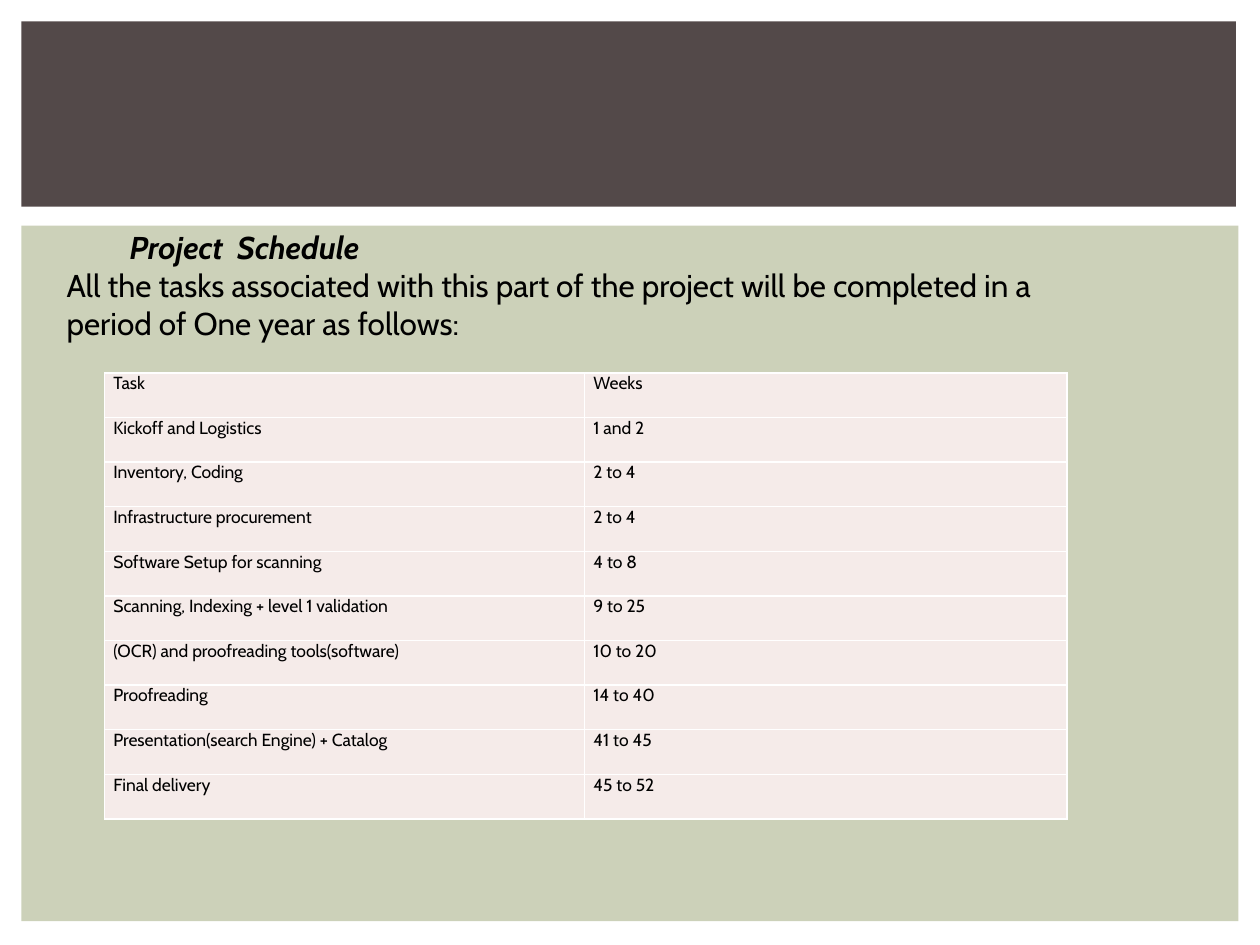
from lxml import etree
from pptx import Presentation
from pptx.dml.color import RGBColor
from pptx.enum.shapes import MSO_SHAPE
from pptx.enum.text import MSO_AUTO_SIZE
from pptx.oxml.ns import qn
from pptx.util import Inches, Pt

RECT = MSO_SHAPE.RECTANGLE
GROW = MSO_AUTO_SIZE.SHAPE_TO_FIT_TEXT

TITLE = "Project  Schedule"
INTRO = ("All the tasks associated with this part of the project will be "
         "completed in a period of One year as follows:")
TASKS = [
    ("Task", "Weeks"),
    ("Kickoff and Logistics", "1 and 2"),
    ("Inventory, Coding", "2 to 4"),
    ("Infrastructure procurement", "2 to 4"),
    ("Software Setup for scanning", "4 to 8"),
    ("Scanning, Indexing + level 1 validation", "9 to 25"),
    ("(OCR) and proofreading tools(software)", "10 to 20"),
    ("Proofreading", "14 to 40"),
    ("Presentation(search Engine) + Catalog", "41 to 45"),
    ("Final delivery", "45 to 52"),
]
THEME = {
    "font": "Cabin", "head": 18, "cell": 10,
    "ink": "000000", "band": "534949", "panel": "CCD1B9",
    "row": "F5EBE9", "rule": "FFFFFF",
}
WIDE, HIGH = 10, 7.5
EDGE = 0.17
PANELS = [
    ("panel", (EDGE, 1.79, WIDE - 2 * EDGE, 5.52)),
    ("band", (EDGE, EDGE, 9.64, 1.47)),
]
TEXT = (0.43, 1.76, 8.58, 1.01)
GRID = (0.83, 2.96, 7.64, 3.54)
COLS = (3.81, 3.83)


def tint(name):
    return RGBColor.from_string(THEME[name])


def place(box):
    return [Inches(n) for n in box]


def style(para, size, bold=False):
    for run in para.runs:
        font = run.font
        font.name, font.size = THEME["font"], Pt(THEME[size])
        font.bold = font.italic = bold
        font.color.rgb = tint("ink")


def border(cell):
    props = cell._tc.get_or_add_tcPr()
    for i, side in enumerate(("lnL", "lnR", "lnT", "lnB")):
        line = etree.Element(qn("a:" + side), w=str(Pt(1)))
        fill = etree.SubElement(line, qn("a:solidFill"))
        etree.SubElement(fill, qn("a:srgbClr"), val=THEME["rule"])
        props.insert(i, line)


def panel(slide, name, box):
    shape = slide.shapes.add_shape(RECT, *place(box))
    shape.shadow.inherit = False
    shape.fill.solid()
    shape.fill.fore_color.rgb = tint(name)
    shape.line.fill.background()


def table(slide):
    grid = slide.shapes.add_table(len(TASKS), len(COLS), *place(GRID)).table
    grid.first_row = grid.horz_banding = False
    for col, width in zip(grid.columns, COLS):
        col.width = Inches(width)
    for row, words in zip(grid.rows, TASKS):
        row.height = Inches(GRID[3] / len(TASKS))
        for cell, word in zip(row.cells, words):
            cell.margin_left = cell.margin_right = Inches(0.07)
            cell.margin_top = cell.margin_bottom = 0
            cell.fill.solid()
            cell.fill.fore_color.rgb = tint("row")
            border(cell)
            para = cell.text_frame.paragraphs[0]
            para.text = word
            para.space_before = Pt(6)
            style(para, "cell")


def heading(slide):
    frame = slide.shapes.add_textbox(*place(TEXT)).text_frame
    frame.word_wrap = True
    frame.auto_size = GROW
    frame.text = TITLE + "\n" + INTRO
    title, intro = frame.paragraphs
    title.level = 1
    props = title._p.get_or_add_pPr()
    props.set("marL", str(Inches(0.5)))
    props.set("indent", "0")
    style(title, "head", True)
    style(intro, "head")


def main():
    deck = Presentation()
    deck.slide_width, deck.slide_height = Inches(WIDE), Inches(HIGH)
    slide = deck.slides.add_slide(deck.slide_layouts[6])
    for name, box in PANELS:
        panel(slide, name, box)
    table(slide)
    heading(slide)
    deck.save("out.pptx")


if __name__ == "__main__":
    main()
